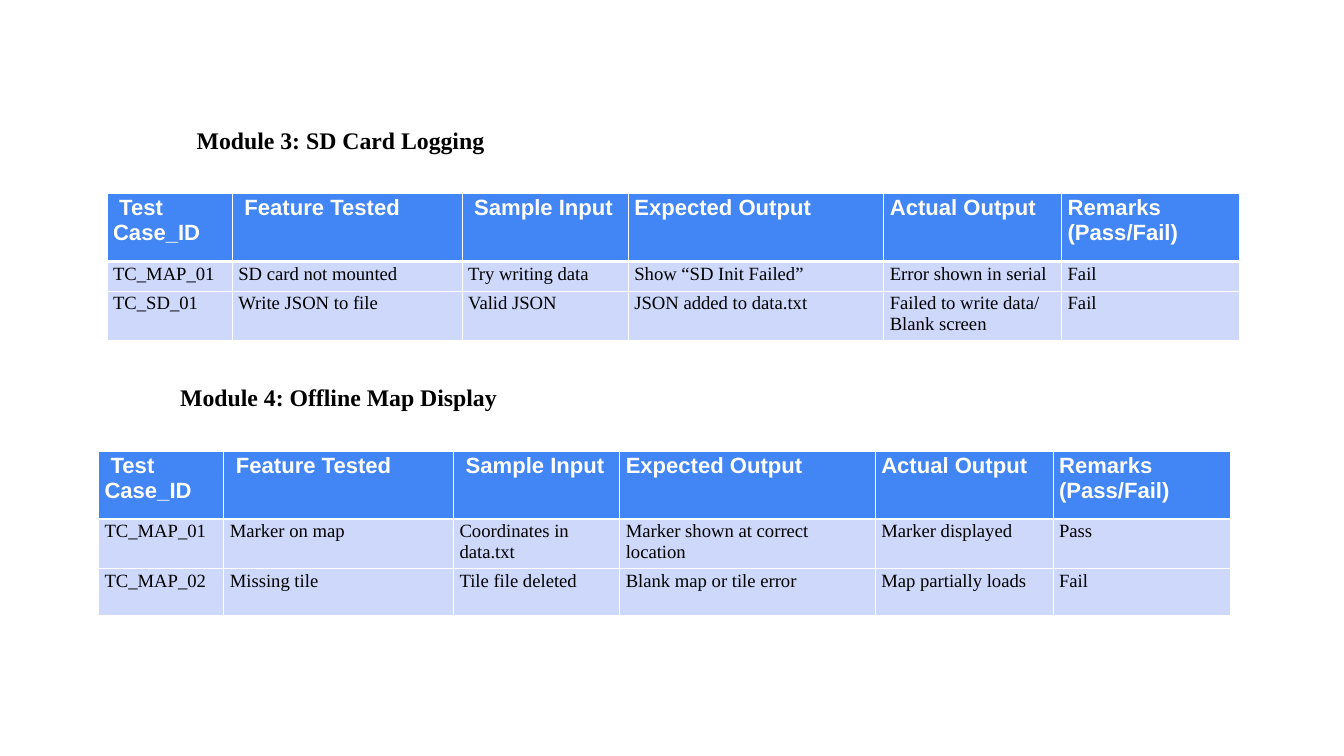
import pptx
import pptx.dml.color
import pptx.oxml
import pptx.oxml.ns
import pptx.util

Pt = pptx.util.Pt
RGBColor = pptx.dml.color.RGBColor

# Content
HEADER = (" Test Case_ID", " Feature Tested", " Sample Input",
          "Expected Output", "Actual Output", "Remarks (Pass/Fail)")
MODULES = [
    {
        "title": "Module 3: SD Card Logging",
        "title_box": (224.6, 144, 441.4, 102.2),
        "spacing": (0, 0),
        "table_at": (126, 228.2),
        "row_heights": (79.9, 34.6, 56),
        "tests": [
            ("TC_MAP_01", "SD card not mounted", "Try writing data",
             "Show “SD Init Failed”", "Error shown in serial", "Fail"),
            ("TC_SD_01", "Write JSON to file", "Valid JSON",
             "JSON added to data.txt", "Failed to write data/ Blank screen", "Fail"),
        ],
    },
    {
        "title": "Module 4: Offline Map Display",
        "title_box": (205.2, 447.8, 586.8, 69.1),
        "spacing": (11.9, 9.9),
        "table_at": (115.9, 531.4),
        "row_heights": (79.9, 56, 56),
        "tests": [
            ("TC_MAP_01", "Marker on map", "Coordinates in data.txt",
             "Marker shown at correct location", "Marker displayed", "Pass"),
            ("TC_MAP_02", "Missing tile", "Tile file deleted",
             "Blank map or tile error", "Map partially loads", "Fail"),
        ],
    },
]

# Style
SLIDE_SIZE = (1583.3, 890.6)
COLUMN_WIDTHS = (147.6, 270.7, 195.8, 301, 209.5, 209.5)
WHITE = RGBColor(0xFF, 0xFF, 0xFF)
BLACK = RGBColor(0x00, 0x00, 0x00)
HEADER_BLUE = RGBColor(0x42, 0x85, 0xF4)
BODY_BLUE = RGBColor(0xCD, 0xD8, 0xFB)
TITLE_FONT = ("Times New Roman", 28, True, BLACK)
HEADER_FONT = ("Arial", 26, True, WHITE)
BODY_FONT = ("Times New Roman", 22, False, BLACK)
THIN, THICK = 0.96, 3


def add_span(para, text, font):
    span = para.add_run()
    span.text = text
    span.font.name, size, span.font.bold, span.font.color.rgb = font
    span.font.size = Pt(size)


def set_borders(cell, widths):
    properties = cell._tc.get_or_add_tcPr()
    for index, (side, width) in enumerate(zip("LRTB", widths)):
        line = pptx.oxml.parse_xml(
            f'<a:ln{side} {pptx.oxml.ns.nsdecls("a")} w="{int(Pt(width))}">'
            f'<a:solidFill><a:srgbClr val="{WHITE}"/></a:solidFill></a:ln{side}>')
        properties.insert(index, line)


def add_title(page, module):
    box = page.shapes.add_textbox(*map(Pt, module["title_box"]))
    box.text_frame.word_wrap = True
    para = box.text_frame.paragraphs[0]
    para.space_before, para.space_after = map(Pt, module["spacing"])
    add_span(para, module["title"], TITLE_FONT)


def add_test_table(page, module):
    rows = [HEADER] + module["tests"]
    heights = module["row_heights"]
    size = (sum(COLUMN_WIDTHS), sum(heights))
    table = page.shapes.add_table(
        len(rows), len(HEADER), *map(Pt, module["table_at"] + size)).table
    for column, width in zip(table.columns, COLUMN_WIDTHS):
        column.width = Pt(width)
    for r, (texts, height) in enumerate(zip(rows, heights)):
        table.rows[r].height = Pt(height)
        font, fill = (BODY_FONT, BODY_BLUE) if r else (HEADER_FONT, HEADER_BLUE)
        top = THICK if r == 1 else THIN
        bottom = THICK if r == 0 else THIN
        for c, text in enumerate(texts):
            cell = table.cell(r, c)
            cell.margin_top = cell.margin_bottom = Pt(2.7)
            cell.fill.solid()
            cell.fill.fore_color.rgb = fill
            set_borders(cell, (THIN, THIN, top, bottom))
            add_span(cell.text_frame.paragraphs[0], text, font)


def main():
    deck = pptx.Presentation()
    deck.slide_width, deck.slide_height = map(Pt, SLIDE_SIZE)
    page = deck.slides.add_slide(deck.slide_layouts[6])
    # Titles lie behind the tables
    for module in MODULES:
        add_title(page, module)
    for module in MODULES:
        add_test_table(page, module)
    deck.save("out.pptx")


if __name__ == "__main__":
    main()
